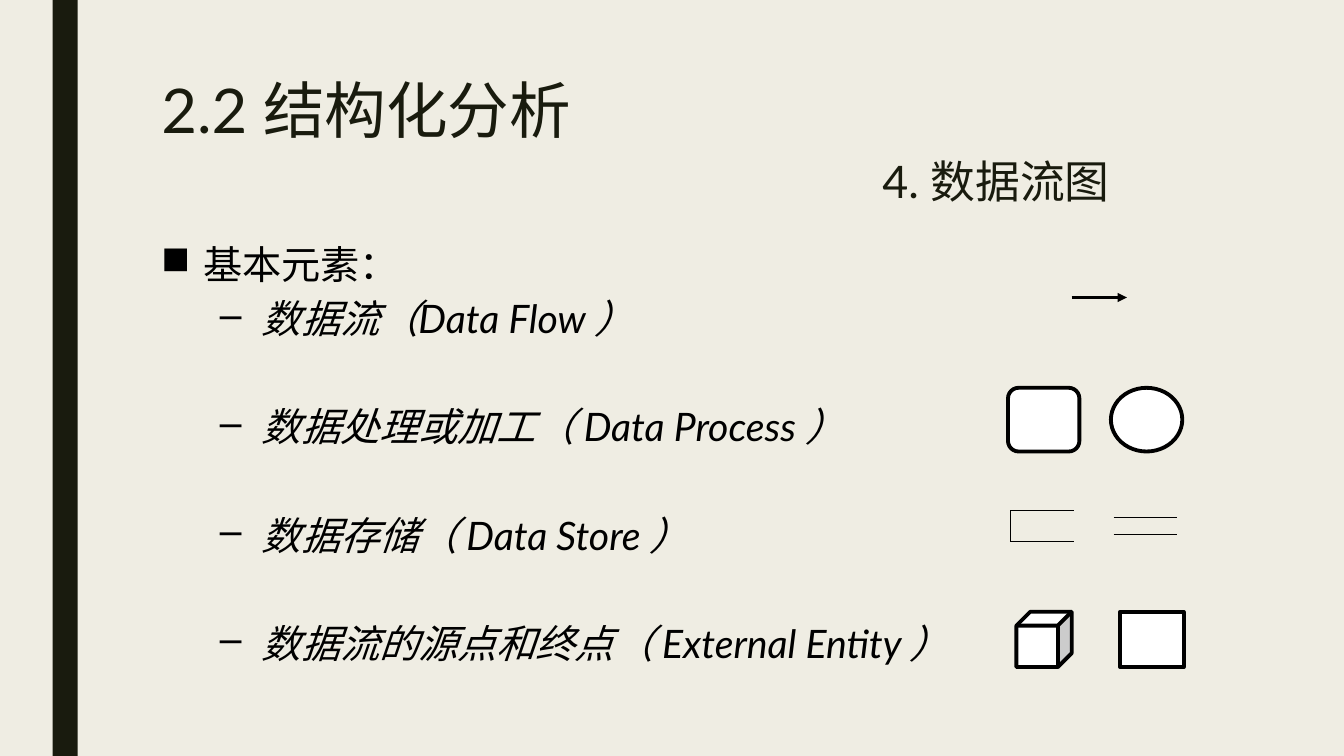
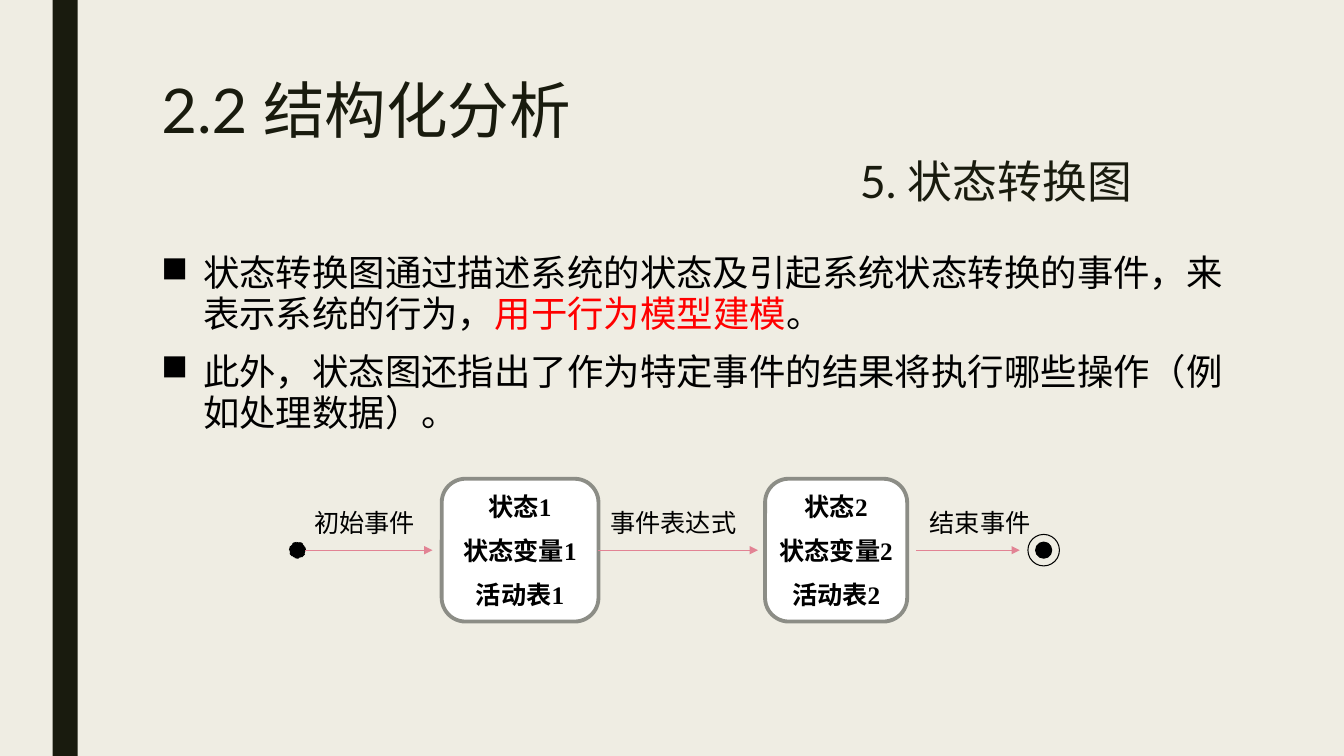
"""Build two slides on structured analysis: data flow diagrams and state diagrams."""
from lxml import etree
from pptx import Presentation
from pptx.dml.color import RGBColor
from pptx.enum.dml import MSO_LINE
from pptx.enum.lang import MSO_LANGUAGE_ID as Language
from pptx.enum.shapes import MSO_CONNECTOR, MSO_SHAPE
from pptx.enum.text import MSO_ANCHOR, MSO_AUTO_SIZE, PP_ALIGN
from pptx.oxml.ns import qn
from pptx.util import Pt

COLORS = {"paper": "EFEDE3", "dark": "191B0E", "black": "000000", "white": "FFFFFF",
          "red": "FF0000", "gray": "8C8D86", "pink": "E28394"}
BODY_FONT, DIAGRAM_FONT = "Lato", "Times New Roman"
SECTION = "2.2 结构化分析"

ELEMENTS_HEADING = "基本元素："
ELEMENTS = ["数据流（Data Flow ）", "数据处理或加工（ Data Process ）",
            "数据存储（ Data Store ）", "数据流的源点和终点（ External Entity ）"]
SYMBOLS = [
    (MSO_SHAPE.ROUNDED_RECTANGLE, 720, 277, 51, 45.5),
    (MSO_SHAPE.OVAL, 793.5, 277, 51, 45.5),
    (MSO_SHAPE.CUBE, 726, 437, 39.5, 39.5),
    (MSO_SHAPE.RECTANGLE, 800, 437, 45.5, 39.5),
]
STORE_LINES = [
    (721.5, 364.5, 767, 364.5), (721.5, 387, 767, 387), (721.5, 364.5, 721.5, 387),
    (795.5, 370, 841, 370), (795.5, 381.5, 841, 381.5),
]

STATE_POINTS = [
    [("状态转换图通过描述系统的状态及引起系统状态转换的事件，来表示系统的行为，", "black"),
     ("用于行为模型建模", "red"), ("。", "black")],
    [("此外，状态图还指出了作为特定事件的结果将执行哪些操作（例如处理数据）。", "black")],
]
AXIS = 393
STATES = [(["状态1", "状态变量1", "活动表1"], 315.5, 112),
          (["状态2", "状态变量2", "活动表2"], 546.5, 101.5)]
STATE_HEIGHT = 102
EVENTS = [("初始事件", 260.5, 218, 309), ("事件表达式", 481, 427.5, 541.5),
          ("结束事件", 700, 654.5, 728.5)]
DOTS = [(212.5, 11.5, "black", MSO_LINE.DASH), (745.5, 22.5, None, None),
        (745.5, 11.5, "black", None)]


def color(name):
    return RGBColor.from_string(COLORS[name])


def add_run(paragraph, text, size, name="black", font=BODY_FONT, bold=None, italic=None):
    run = paragraph.add_run()
    run.text = text
    run.font.size, run.font.name = Pt(size), font
    run.font.bold, run.font.italic = bold, italic
    run.font.color.rgb = color(name)
    run.font.language_id = Language.SIMPLIFIED_CHINESE


def next_paragraph(frame):
    first = frame.paragraphs[0]
    return frame.add_paragraph() if first.runs else first


def add_bullet(frame, runs, size, before, mark="■", indent=30, italic=None):
    paragraph = next_paragraph(frame)
    paragraph.line_spacing = 0.94
    paragraph.space_before, paragraph.space_after = Pt(before), Pt(2)
    properties = paragraph._p.get_or_add_pPr()
    properties.set("marL", str(Pt(indent)))
    properties.set("indent", str(Pt(-30)))
    etree.SubElement(properties, qn("a:buChar")).set("char", mark)
    for text, name in runs:
        add_run(paragraph, text, size, name, italic=italic)


def add_textbox(slide, left, top, width, height):
    box = slide.shapes.add_textbox(Pt(left), Pt(top), Pt(width), Pt(height))
    box.text_frame.word_wrap = True
    return box.text_frame


def add_shape(slide, kind, left, top, width, height, fill, line=None, weight=0.75):
    shape = slide.shapes.add_shape(kind, Pt(left), Pt(top), Pt(width), Pt(height))
    shape.shadow.inherit = False
    if fill:
        shape.fill.solid()
        shape.fill.fore_color.rgb = color(fill)
    else:
        shape.fill.background()
    if line:
        shape.line.color.rgb = color(line)
        shape.line.width = Pt(weight)
    else:
        shape.line.fill.background()
    return shape


def add_line(slide, points, name, weight, arrow=False):
    connector = slide.shapes.add_connector(MSO_CONNECTOR.STRAIGHT, *map(Pt, points))
    connector.line.color.rgb = color(name)
    connector.line.width = Pt(weight)
    if arrow:
        etree.SubElement(connector.line._get_or_add_ln(), qn("a:tailEnd")).set("type", "triangle")
    etree.SubElement(connector._element.spPr, qn("a:effectLst"))
    return connector


def new_slide(presentation, topic):
    slide = presentation.slides.add_slide(presentation.slide_layouts[5])
    add_shape(slide, MSO_SHAPE.RECTANGLE, 37.5, 0, 18, 540, "dark")
    title = slide.shapes.title
    title.left, title.top, title.width, title.height = map(Pt, (108, 54, 756, 117))
    frame = title.text_frame
    frame.auto_size = MSO_AUTO_SIZE.NONE
    frame.vertical_anchor = MSO_ANCHOR.TOP
    for text, size, before, margin, align in ((SECTION, 44, 0, 0, PP_ALIGN.LEFT),
                                              (topic, 32, 10, 451, PP_ALIGN.CENTER)):
        paragraph = next_paragraph(frame)
        paragraph.alignment = align
        paragraph.line_spacing = 0.89
        paragraph.space_before = Pt(before)
        paragraph._p.get_or_add_pPr().set("marL", str(Pt(margin)))
        add_run(paragraph, text, size, "dark")
    return slide


def build_data_flow(presentation):
    slide = new_slide(presentation, "4. 数据流图")
    frame = add_textbox(slide, 108, 171, 787, 328)
    add_bullet(frame, [(ELEMENTS_HEADING, "black")], 28, 0)
    for index, text in enumerate(ELEMENTS):
        add_bullet(frame, [(text, "black")], 28, 43.6 if index else 5, "–", 72, True)
    for symbol in SYMBOLS:
        add_shape(slide, *symbol, "white", "black", 2.75)
    for points in STORE_LINES:
        add_line(slide, points, "black", 0.75)
    add_line(slide, (765.5, 212.5, 805, 212.5), "black", 2.25, arrow=True)


def build_state_diagram(presentation):
    slide = new_slide(presentation, "5. 状态转换图")
    frame = add_textbox(slide, 108, 178, 787, 322)
    for index, runs in enumerate(STATE_POINTS):
        add_bullet(frame, runs, 26, 10 if index else 0)

    boxes = []
    for lines, left, width in STATES:
        box = add_shape(slide, MSO_SHAPE.ROUNDED_RECTANGLE, left, AXIS - STATE_HEIGHT / 2,
                        width, STATE_HEIGHT, "white", "gray", 2.75)
        boxes.append(box)
        box.text_frame.word_wrap = False
        box.text_frame.vertical_anchor = MSO_ANCHOR.MIDDLE
        for index, text in enumerate(lines):
            paragraph = next_paragraph(box.text_frame)
            paragraph.alignment = PP_ALIGN.CENTER
            paragraph.space_before = Pt(9.7 if index else 0)
            add_run(paragraph, text, 18, font=DIAGRAM_FONT, bold=True)

    for center, size, fill, dash in DOTS:
        dot = add_shape(slide, MSO_SHAPE.FLOWCHART_CONNECTOR, center - size / 2,
                        AXIS - size / 2, size, size, fill, "black")
        if dash:
            dot.line.dash_style = dash

    arrows = []
    for text, center, start, end in EVENTS:
        arrows.append(add_line(slide, (start, AXIS, end, AXIS), "pink", 0.5, arrow=True))
        label = add_textbox(slide, center - 60, 359, 120, 29)
        label.paragraphs[0].alignment = PP_ALIGN.CENTER
        add_run(label.paragraphs[0], text, 18, font=DIAGRAM_FONT)
    arrows[1].begin_connect(boxes[0], 3)


def main():
    presentation = Presentation()
    presentation.slide_width, presentation.slide_height = Pt(960), Pt(540)
    background = presentation.slide_master.background.fill
    background.solid()
    background.fore_color.rgb = color("paper")
    build_data_flow(presentation)
    build_state_diagram(presentation)
    presentation.save("out.pptx")


if __name__ == "__main__":
    main()
